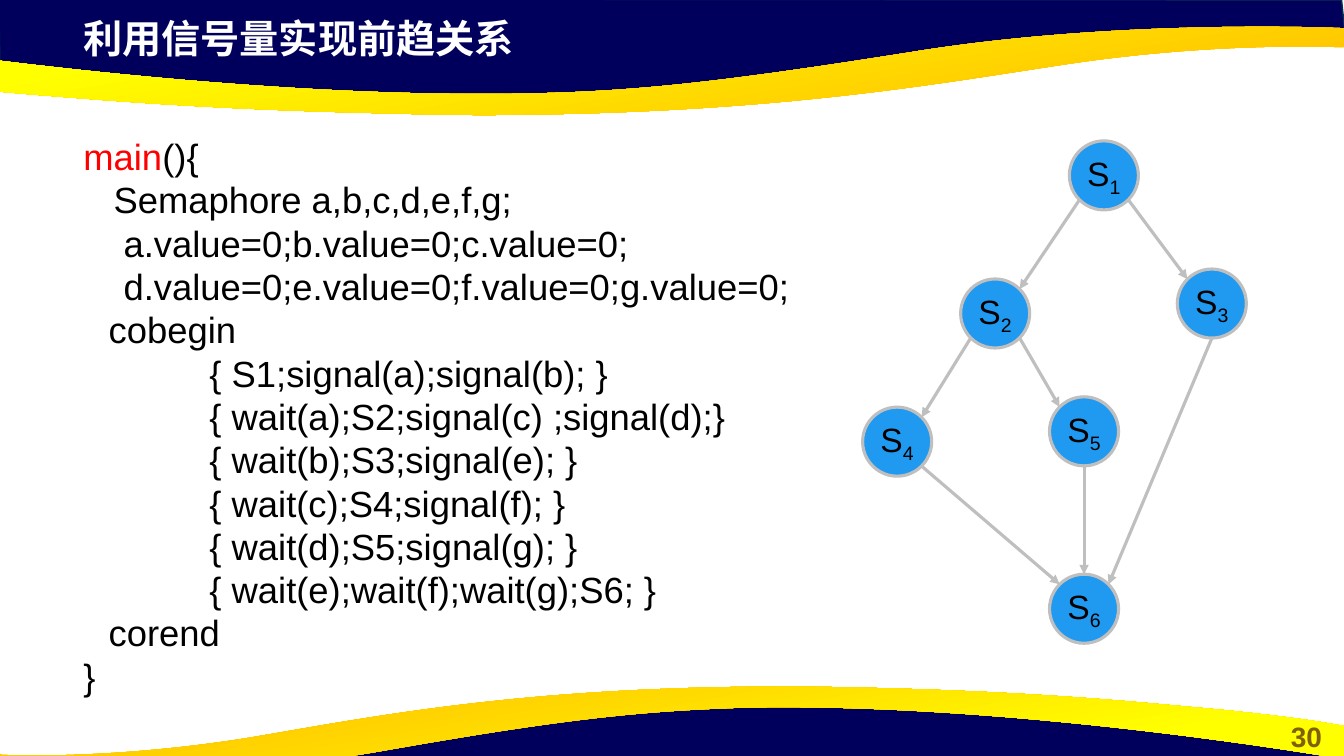
"""Build a slide on precedence relations with semaphores."""
from dataclasses import dataclass
from math import sqrt

from lxml import etree
from pptx import Presentation
from pptx.dml.color import RGBColor
from pptx.enum.shapes import MSO_CONNECTOR, MSO_SHAPE
from pptx.enum.text import MSO_ANCHOR, PP_ALIGN
from pptx.oxml.ns import qn
from pptx.util import Cm, Pt

OVAL = MSO_SHAPE.OVAL
STRAIGHT = MSO_CONNECTOR.STRAIGHT
MIDDLE = MSO_ANCHOR.MIDDLE
CENTER = PP_ALIGN.CENTER

FONT = "Arial"
NAVY, NAVY_EDGE = "00005C", "05304F"
ORANGE, YELLOW = "FFC000", "FFFF00"
BLUE, GREY = "2099F0", "BFBFBF"
BLACK, WHITE, RED, OLIVE = "000000", "FFFFFF", "FF0000", "806000"

RADIUS = 0.87
DIAGONAL = 1 / sqrt(2)
SITES = {
    "N": (0, -1), "S": (0, 1),
    "NE": (DIAGONAL, -DIAGONAL), "NW": (-DIAGONAL, -DIAGONAL),
    "SE": (DIAGONAL, DIAGONAL), "SW": (-DIAGONAL, DIAGONAL),
}

Point = tuple[float, float]
Segment = tuple[float, ...]


@dataclass
class Node:
    x: float
    y: float

    def site(self, name: str) -> Point:
        dx, dy = SITES[name]
        return self.x + RADIUS * dx, self.y + RADIUS * dy


@dataclass
class Edge:
    source: int
    source_site: str
    target: int
    target_site: str


@dataclass
class Wave:
    """Navy outline, then ribbon segments: 2 numbers for a line, 6 for a curve."""
    navy: list[Segment]
    ribbon: list[Segment]
    angle: int


NODES = {
    1: Node(27.82, 4.42), 2: Node(25.08, 7.9), 3: Node(30.54, 7.65),
    4: Node(22.61, 11.13), 5: Node(27.32, 10.87), 6: Node(27.32, 15.34),
}
EDGES = [
    Edge(1, "SW", 2, "NE"), Edge(1, "SE", 3, "NW"), Edge(5, "S", 6, "N"),
    Edge(3, "S", 6, "NE"), Edge(2, "SW", 4, "NE"), Edge(4, "SE", 6, "NW"),
    Edge(2, "SE", 5, "NW"),
]
WAVES = [
    Wave(
        [(-0.03, -0.03), (0, 1.78), (7.44, 2.59), (14.2, 2.54), (20.19, 2.24),
         (25.81, 1.27), (31.45, 0.84), (33.91, 0.97), (33.81, 0)],
        [(12.27, 2.9), (11.25, 2.9, 10.19, 2.87, 9.04, 2.84),
         (5.23, 2.74, 2.79, 2.54, 0.91, 2.39),
         (-2.24, 2.13, -3.3, 1.91, -3.38, 1.91), (-3.38, 1.07),
         (-3.38, 1.07, 5.54, 2.49, 13.13, 2.36),
         (15.9, 2.31, 17.98, 2.11, 23.24, 1.27),
         (28.47, 0.46, 33.86, 0.71, 33.86, 0.71), (33.86, 1.19), (33.78, 1.19),
         (33.15, 1.17, 30.35, 1.09, 26.8, 1.63),
         (23.32, 2.16, 19.35, 2.87, 12.27, 2.9)],
        100),
    Wave(
        [(33.86, 20.17), (33.83, 18.39), (26.42, 17.55), (19.63, 17.6), (13.67, 17.93),
         (8.05, 18.87), (2.41, 19.3), (-0.08, 19.2), (0.03, 20.14)],
        [(19.61, 17.3), (20.55, 17.3, 21.51, 17.32, 22.56, 17.35),
         (26.04, 17.45, 28.24, 17.65, 29.95, 17.81),
         (32.82, 18.06, 33.78, 18.29, 33.86, 18.29), (33.86, 19.13),
         (33.86, 19.13, 25.76, 17.7, 18.85, 17.83),
         (16.31, 17.91, 14.4, 18.08, 9.65, 18.92),
         (4.88, 19.76, -0.03, 19.51, -0.03, 19.51), (-0.03, 19), (0.05, 19.02),
         (0.64, 19.05, 3.18, 19.1, 6.4, 18.57),
         (9.55, 18.03, 13.18, 17.32, 19.61, 17.3)],
        280),
]
CODE = [
    "(){",
    "   Semaphore a,b,c,d,e,f,g;",
    "    a.value=0;b.value=0;c.value=0;",
    "    d.value=0;e.value=0;f.value=0;g.value=0;",
    "\tcobegin",
    "\t\t{ S1;signal(a);signal(b); }",
    "\t\t{ wait(a);S2;signal(c) ;signal(d);}",
    "\t\t{ wait(b);S3;signal(e); }",
    "\t\t{ wait(c);S4;signal(f); }",
    "\t\t{ wait(d);S5;signal(g); }",
    "\t\t{ wait(e);wait(f);wait(g);S6; }",
    "\tcorend",
    "}",
]


def rgb(color: str) -> RGBColor:
    return RGBColor.from_string(color)


def add_text(p, text: str, *, size: float, color: str = BLACK, bold: bool = False,
             baseline: int = 0) -> None:
    r = p.add_run()
    r.text = text
    r.font.name, r.font.size, r.font.bold = FONT, Pt(size), bold
    r.font.color.rgb = rgb(color)
    if baseline:
        r.font._element.set("baseline", str(baseline * 1000))


def add_box(s, x: float, y: float, w: float, h: float):
    tf = s.shapes.add_textbox(Cm(x), Cm(y), Cm(w), Cm(h)).text_frame
    tf.word_wrap = True
    return tf


def add_outline(s, segments: list[Segment]):
    anchors = [(Cm(segment[-2]), Cm(segment[-1])) for segment in segments]
    builder = s.shapes.build_freeform(*anchors[0])
    builder.add_line_segments(anchors[1:], close=segments[0] != segments[-1][-2:])
    sp = builder.convert_to_shape()
    sp.shadow.inherit = False
    lines = list(sp._element.iter(qn("a:lnTo")))
    for line, segment in zip(lines, segments[1:]):
        if len(segment) == 6:
            line.tag = qn("a:cubicBezTo")
            line.clear()
            for x, y in zip(segment[::2], segment[1::2]):
                etree.SubElement(line, qn("a:pt"), x=str(Cm(x) - sp.left),
                                 y=str(Cm(y) - sp.top))
    return sp


def add_wave(s, wave: Wave) -> None:
    sp = add_outline(s, wave.navy)
    sp.fill.solid()
    sp.fill.fore_color.rgb = rgb(NAVY)
    sp.line.color.rgb, sp.line.width = rgb(NAVY_EDGE), Pt(1)
    sp = add_outline(s, wave.ribbon)
    sp.line.fill.background()
    sp.fill.gradient()
    sp.fill.gradient_angle = wave.angle
    for stop, color, position in zip(sp.fill.gradient_stops, (ORANGE, YELLOW), (0.11, 0.78)):
        stop.color.rgb, stop.position = rgb(color), position


def add_node(s, number: int, node: Node) -> None:
    sp = s.shapes.add_shape(OVAL, Cm(node.x - RADIUS), Cm(node.y - RADIUS),
                            Cm(2 * RADIUS), Cm(2 * RADIUS))
    sp.shadow.inherit = False
    sp.fill.solid()
    sp.fill.fore_color.rgb = rgb(BLUE)
    sp.line.color.rgb, sp.line.width = rgb(GREY), Pt(2.25)
    tf = sp.text_frame
    tf.word_wrap, tf.vertical_anchor = False, MIDDLE
    p = tf.paragraphs[0]
    p.alignment = CENTER
    add_text(p, "S", size=24)
    add_text(p, str(number), size=24, baseline=-25)


def add_edge(s, edge: Edge) -> None:
    ends = NODES[edge.source].site(edge.source_site) + NODES[edge.target].site(edge.target_site)
    sp = s.shapes.add_connector(STRAIGHT, *map(Cm, ends))
    sp.line.color.rgb, sp.line.width = rgb(GREY), Pt(2.25)
    etree.SubElement(sp.line._get_or_add_ln(), qn("a:tailEnd"), type="triangle")
    etree.SubElement(sp._element.spPr, qn("a:effectLst"))


def add_code(s) -> None:
    tf = add_box(s, 1.85, 3.56, 19.2, 14.05)
    for i, line in enumerate(CODE):
        p = tf.add_paragraph() if i else tf.paragraphs[0]
        p.line_spacing, p.space_before = 0.7, Pt(9.1 if i else 0)
        pPr = p._p.get_or_add_pPr()
        for name, length in (("marL", 0.64), ("indent", -0.64), ("defTabSz", 2.54)):
            pPr.set(name, str(Cm(length)))
        if i == 0:
            add_text(p, "main", size=26, color=RED)
        add_text(p, line, size=26)


def main() -> None:
    prs = Presentation()
    prs.slide_width, prs.slide_height = Cm(33.87), Cm(19.05)
    s = prs.slides.add_slide(prs.slide_layouts[6])
    for wave in WAVES:
        add_wave(s, wave)
    p = add_box(s, 32, 18.01, 1.85, 1.12).paragraphs[0]
    p.alignment = CENTER
    add_text(p, "30", size=20, color=OLIVE, bold=True)
    p = add_box(s, 1.85, 0.23, 19.5, 1.45).paragraphs[0]
    add_text(p, "利用信号量实现前趋关系", size=28, color=WHITE, bold=True)
    add_code(s)
    for number, node in NODES.items():
        add_node(s, number, node)
    for edge in EDGES:
        add_edge(s, edge)
    prs.save("out.pptx")


if __name__ == "__main__":
    main()
